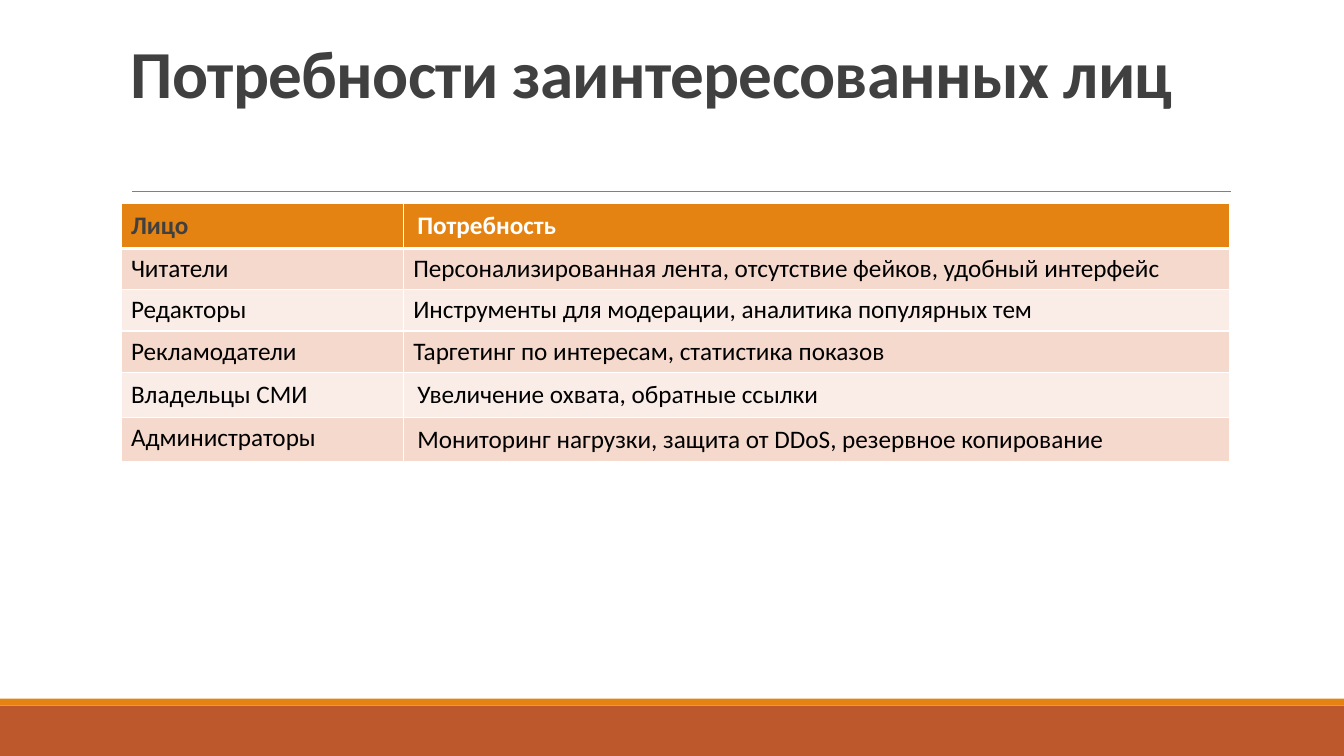
from lxml.etree import SubElement
from pptx import Presentation
from pptx.dml.color import RGBColor
from pptx.enum.shapes import MSO_CONNECTOR, MSO_SHAPE
from pptx.enum.text import MSO_ANCHOR
from pptx.oxml.ns import qn
from pptx.util import Inches, Pt

WHITE = RGBColor(0xFF, 0xFF, 0xFF)
BLACK = RGBColor(0x00, 0x00, 0x00)
DARK = RGBColor(0x40, 0x40, 0x40)
GREY = RGBColor(0x80, 0x80, 0x80)
RUST = RGBColor(0xBD, 0x58, 0x2C)
ORANGE = RGBColor(0xE4, 0x83, 0x12)
ROSE = RGBColor(0xF5, 0xD9, 0xCC)
PALE = RGBColor(0xFA, 0xED, 0xE7)

NEEDS = [
    ("Лицо", "Потребность"),
    ("Читатели", "Персонализированная лента, отсутствие фейков, удобный интерфейс"),
    ("Редакторы", "Инструменты для модерации, аналитика популярных тем"),
    ("Рекламодатели", "Таргетинг по интересам, статистика показов"),
    ("Владельцы СМИ", "Увеличение охвата, обратные ссылки"),
    ("Администраторы", "Мониторинг нагрузки, защита от DDoS, резервное копирование"),
]
ROOMY = {0, 4, 5}  # rows with wider padding
TALL, SHORT = 5.93, 5.47


class Page:
    """One slide; every length is a percentage of its width or height."""

    font = "Calibri"

    def __init__(self, deck):
        self.wide, self.high = deck.slide_width, deck.slide_height
        self.shapes = deck.slides.add_slide(deck.slide_layouts[6]).shapes

    def x(self, share):
        return round(self.wide * share / 100)

    def y(self, share):
        return round(self.high * share / 100)

    def box(self, left, top, width, height):
        return self.x(left), self.y(top), self.x(width), self.y(height)

    def style(self, para, size, color, bold):
        for run in para.runs:
            run.font.name, run.font.size = self.font, Pt(size)
            run.font.bold, run.font.color.rgb = bold, color

    def band(self, top, height, color):
        bar = self.shapes.add_shape(MSO_SHAPE.RECTANGLE, *self.box(0, top, 100, height))
        bar.shadow.inherit = False
        bar.fill.solid()
        bar.fill.fore_color.rgb = color
        bar.line.fill.background()

    def rule(self, left, right, top):
        line = self.shapes.add_connector(
            MSO_CONNECTOR.STRAIGHT, self.x(left), self.y(top), self.x(right), self.y(top))
        line.line.color.rgb = GREY
        line.line.width = Pt(0.5)
        SubElement(line.element.spPr, qn("a:effectLst"))

    def title(self, text, *place):
        frame = self.shapes.add_textbox(*self.box(*place)).text_frame
        frame.word_wrap = True
        frame.vertical_anchor = MSO_ANCHOR.TOP
        frame.margin_top = Inches(0.12)
        para = frame.paragraphs[0]
        para.text = text
        para.line_spacing = 0.85
        self.style(para, 48, DARK, True)
        para.runs[0].font._element.set("spc", "-50")

    def edges(self, cell, foot):
        props = cell._tc.get_or_add_tcPr()
        for side, width in (("L", 1), ("R", 1), ("T", 1), ("B", foot)):
            line = SubElement(props, qn(f"a:ln{side}"), w=str(Pt(width)))
            fill = SubElement(line, qn("a:solidFill"))
            SubElement(fill, qn("a:srgbClr"), val=str(WHITE))

    def cell(self, cell, text, row, col):
        head, roomy = row == 0, row in ROOMY
        self.edges(cell, 3 if head else 1)
        cell.fill.solid()
        cell.fill.fore_color.rgb = ORANGE if head else (ROSE if row % 2 else PALE)
        if roomy and (row, col) != (5, 0):
            cell.vertical_anchor = MSO_ANCHOR.MIDDLE
            cell.margin_top = cell.margin_bottom = Inches(0.07)
            cell.margin_left = Inches(0.14 if col else 0.1)
            cell.margin_right = Inches(0.14)
        cell.text_frame.text = text
        color = (WHITE if col else DARK) if head else BLACK
        self.style(cell.text_frame.paragraphs[0], 18, color, head)

    def table(self, rows, left, top, widths):
        highs = [TALL if row in ROOMY else SHORT for row in range(len(rows))]
        place = self.box(left, top, sum(widths), sum(highs))
        grid = self.shapes.add_table(len(rows), len(widths), *place).table
        for col, width in enumerate(widths):
            grid.columns[col].width = self.x(width)
        for row, texts in enumerate(rows):
            grid.rows[row].height = self.y(highs[row])
            for col, text in enumerate(texts):
                self.cell(grid.cell(row, col), text, row, col)


def main():
    deck = Presentation()
    deck.slide_width, deck.slide_height = Inches(13.33), Inches(7.5)
    page = Page(deck)
    page.band(93.33, 6.67, RUST)
    page.band(92.4, 0.93, ORANGE)
    page.rule(9.83, 91.6, 25.33)
    page.title("Потребности заинтересованных лиц", 9, 4.13, 82.5, 21.2)
    page.table(NEEDS, 9, 26.93, (21, 61.5))
    deck.save("out.pptx")


if __name__ == "__main__":
    main()
